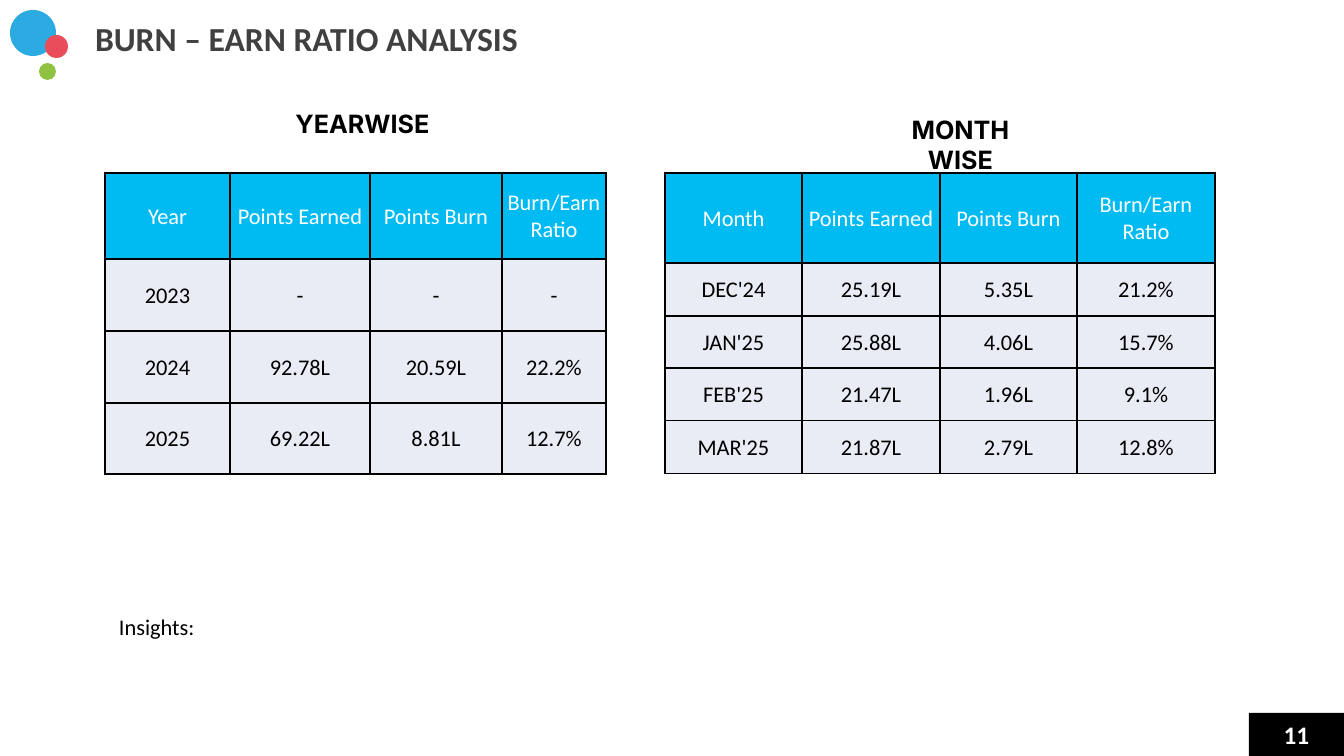
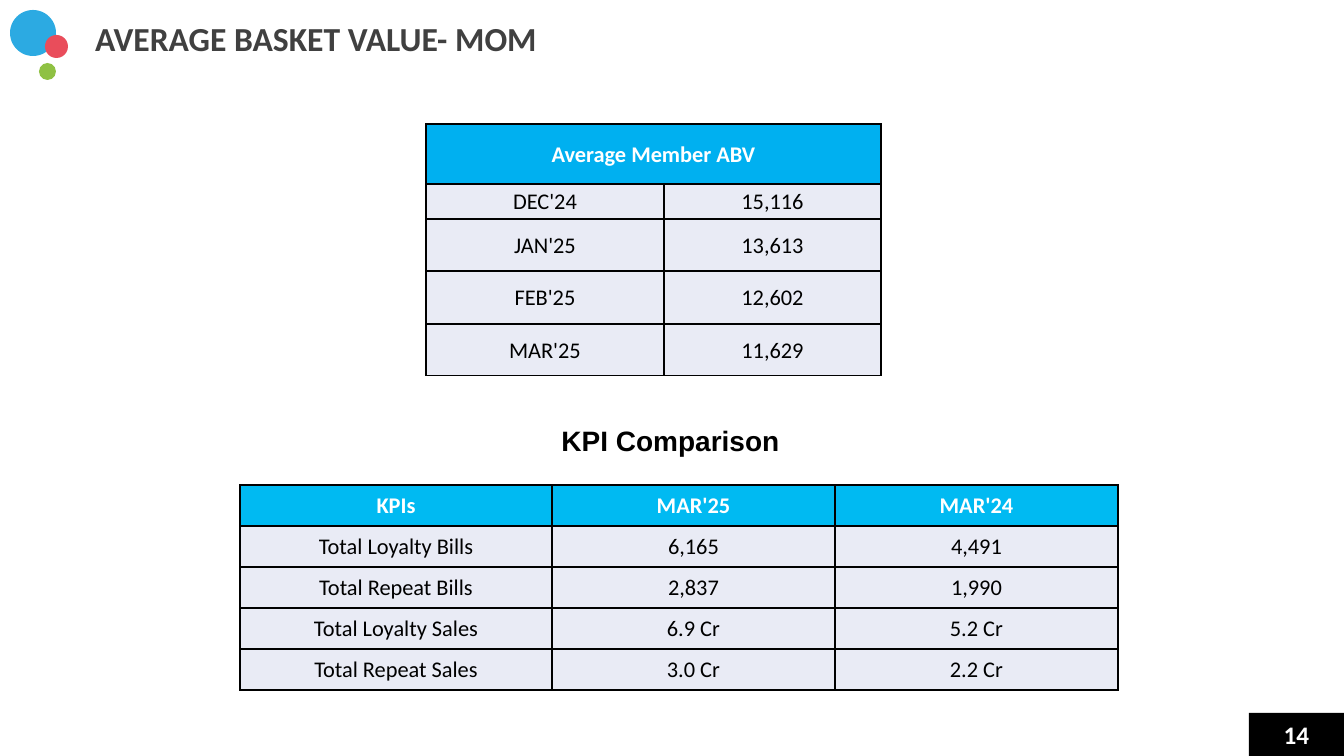
from dataclasses import dataclass

from lxml.etree import SubElement
from pptx import Presentation
from pptx.dml.color import RGBColor
from pptx.enum.shapes import MSO_SHAPE as Kind
from pptx.enum.text import MSO_ANCHOR as Anchor, MSO_AUTO_SIZE as Fit, PP_ALIGN as Align
from pptx.oxml.ns import qn
from pptx.slide import Slide
from pptx.table import _Cell as Cell
from pptx.text.text import TextFrame
from pptx.util import Emu, Pt

# Scale, colours and fonts
WIDE, HIGH = 1344, 756
SCALE = 914400 / 100.8
BLACK, WHITE, GREY = "000000", "FFFFFF", "404040"
CYAN, BLUE, PALE = "00BAF2", "00B0F0", "E9EBF5"
BODY = "Calibri"


@dataclass(frozen=True)
class Box:
    x: int
    y: int
    w: int
    h: int


@dataclass(frozen=True)
class Dot:
    box: Box
    fill: str


@dataclass(frozen=True)
class Grid:
    x: int
    y: int
    cols: list[int]
    rows: list[int]
    data: list[list[str]]
    head: str = CYAN
    bold: bool = False


DOTS = [
    Dot(Box(10, 10, 46, 46), "2CAAE2"),
    Dot(Box(45, 35, 23, 23), "E94D5B"),
    Dot(Box(39, 63, 17, 17), "8FC143"),
]
BADGE = Box(1249, 713, 95, 43)
TITLE = Box(95, 17, 1079, 42)

YEARS = Grid(105, 173, [125, 140, 132, 104], [86, 72, 72, 71], [
    ["Year", "Points Earned", "Points Burn", "Burn/Earn Ratio"],
    ["2023", "-", "-", "-"],
    ["2024", "92.78L", "20.59L", "22.2%"],
    ["2025", "69.22L", "8.81L", "12.7%"],
])
MONTHS = Grid(665, 173, [137, 138, 137, 138], [90, 53, 52, 53, 53], [
    ["Month", "Points Earned", "Points Burn", "Burn/Earn Ratio"],
    ["DEC'24", "25.19L", "5.35L", "21.2%"],
    ["JAN'25", "25.88L", "4.06L", "15.7%"],
    ["FEB'25", "21.47L", "1.96L", "9.1%"],
    ["MAR'25", "21.87L", "2.79L", "12.8%"],
])
BASKET = Grid(426, 124, [238, 217], [60, 35, 52, 53, 52], [
    ["Average Member ABV"],
    ["DEC'24", "15,116"],
    ["JAN'25", "13,613"],
    ["FEB'25", "12,602"],
    ["MAR'25", "11,629"],
], head=BLUE, bold=True)
KPIS = Grid(240, 485, [312, 283, 283], [41] * 5, [
    ["KPIs", "MAR'25", "MAR'24"],
    ["Total Loyalty Bills", "6,165", "4,491"],
    ["Total Repeat Bills", "2,837", "1,990"],
    ["Total Loyalty Sales", "6.9 Cr", "5.2 Cr"],
    ["Total Repeat Sales", "3.0 Cr", "2.2 Cr"],
], bold=True)


# Helpers
def px(size: int) -> Emu:
    return Emu(round(size * SCALE))


def rgb(code: str) -> RGBColor:
    return RGBColor.from_string(code)


def spot(box: Box) -> tuple[Emu, Emu, Emu, Emu]:
    return px(box.x), px(box.y), px(box.w), px(box.h)


def write(frame: TextFrame, text: str, *, size: int = 16, color: str = BLACK,
          bold: bool = False, font: str = BODY, align: Align = Align.CENTER) -> None:
    para = frame.paragraphs[0]
    para.alignment = align
    run = para.add_run()
    run.text = text
    run.font.size, run.font.bold, run.font.name = Pt(size), bold, font
    run.font.color.rgb = rgb(color)


def label(slide: Slide, box: Box, text: str, pad: int = 5,
          anchor: Anchor = Anchor.TOP, **form) -> None:
    frame = slide.shapes.add_textbox(*spot(box)).text_frame
    frame.word_wrap = True
    frame.vertical_anchor = anchor
    frame.margin_left = frame.margin_right = px(10)
    frame.margin_top = frame.margin_bottom = px(pad)
    write(frame, text, **form)


def shape(slide: Slide, kind: Kind, box: Box, fill: str) -> TextFrame:
    item = slide.shapes.add_shape(kind, *spot(box))
    item.shadow.inherit = False
    item.fill.solid()
    item.fill.fore_color.rgb = rgb(fill)
    item.line.fill.background()
    return item.text_frame


def edge(cell: Cell) -> None:
    props = cell._tc.get_or_add_tcPr()
    for side in ("lnL", "lnR", "lnT", "lnB"):
        line = SubElement(props, qn(f"a:{side}"), w=str(Pt(1)))
        fill = SubElement(line, qn("a:solidFill"))
        SubElement(fill, qn("a:srgbClr"), val=BLACK)


def table(slide: Slide, grid: Grid) -> None:
    box = Box(grid.x, grid.y, sum(grid.cols), sum(grid.rows))
    body = slide.shapes.add_table(len(grid.rows), len(grid.cols), *spot(box)).table
    for col, wide in zip(body.columns, grid.cols):
        col.width = px(wide)
    for row, high in zip(body.rows, grid.rows):
        row.height = px(high)
    for r, texts in enumerate(grid.data):
        top = r == 0
        for c in range(len(grid.cols)):
            cell = body.cell(r, c)
            edge(cell)
            cell.fill.solid()
            cell.fill.fore_color.rgb = rgb(grid.head if top else PALE)
            cell.vertical_anchor = Anchor.MIDDLE
            cell.margin_left = cell.margin_right = cell.margin_top = px(1)
            cell.margin_bottom = 0
            if c < len(texts):
                write(cell.text_frame, texts[c], color=WHITE if top else BLACK,
                      bold=top and grid.bold)
        # A short row spans the full width
        if len(texts) < len(grid.cols):
            body.cell(r, 0).merge(body.cell(r, len(grid.cols) - 1))


# Shared slide frame: dots, page badge and title
def page(deck: Presentation, title: str, num: int) -> Slide:
    slide = deck.slides.add_slide(deck.slide_layouts[5])
    for dot in DOTS:
        shape(slide, Kind.OVAL, dot.box, dot.fill)
    badge = shape(slide, Kind.RECTANGLE, BADGE, BLACK)
    badge.vertical_anchor = Anchor.MIDDLE
    write(badge, str(num), size=18, color=WHITE, bold=True)

    head = slide.shapes.title
    head.left, head.top, head.width, head.height = spot(TITLE)
    frame = head.text_frame
    frame.auto_size = Fit.NONE
    frame.vertical_anchor = Anchor.MIDDLE
    frame.margin_left = frame.margin_right = frame.margin_bottom = 0
    frame.margin_top = px(1)
    write(frame, title, size=24, color=GREY, bold=True, align=Align.LEFT)
    return slide


def main() -> None:
    deck = Presentation()
    deck.slide_width, deck.slide_height = px(WIDE), px(HIGH)

    # Burn and earn ratio
    slide = page(deck, "BURN – EARN RATIO ANALYSIS", 11)
    table(slide, MONTHS)
    table(slide, YEARS)
    for box, text in ((Box(285, 103, 155, 40), "YEARWISE"),
                      (Box(868, 109, 185, 40), "MONTH WISE")):
        label(slide, box, text, size=18, bold=True, font="Inter")
    label(slide, Box(109, 546, 1028, 162), "Insights:", pad=10,
          anchor=Anchor.MIDDLE, align=Align.LEFT)

    # Basket value and KPIs
    slide = page(deck, "AVERAGE BASKET VALUE- MOM", 14)
    table(slide, BASKET)
    table(slide, KPIS)
    label(slide, Box(219, 413, 903, 54), "KPI Comparison", pad=10,
          size=20, bold=True, font="Arial")

    deck.save("out.pptx")


if __name__ == "__main__":
    main()
